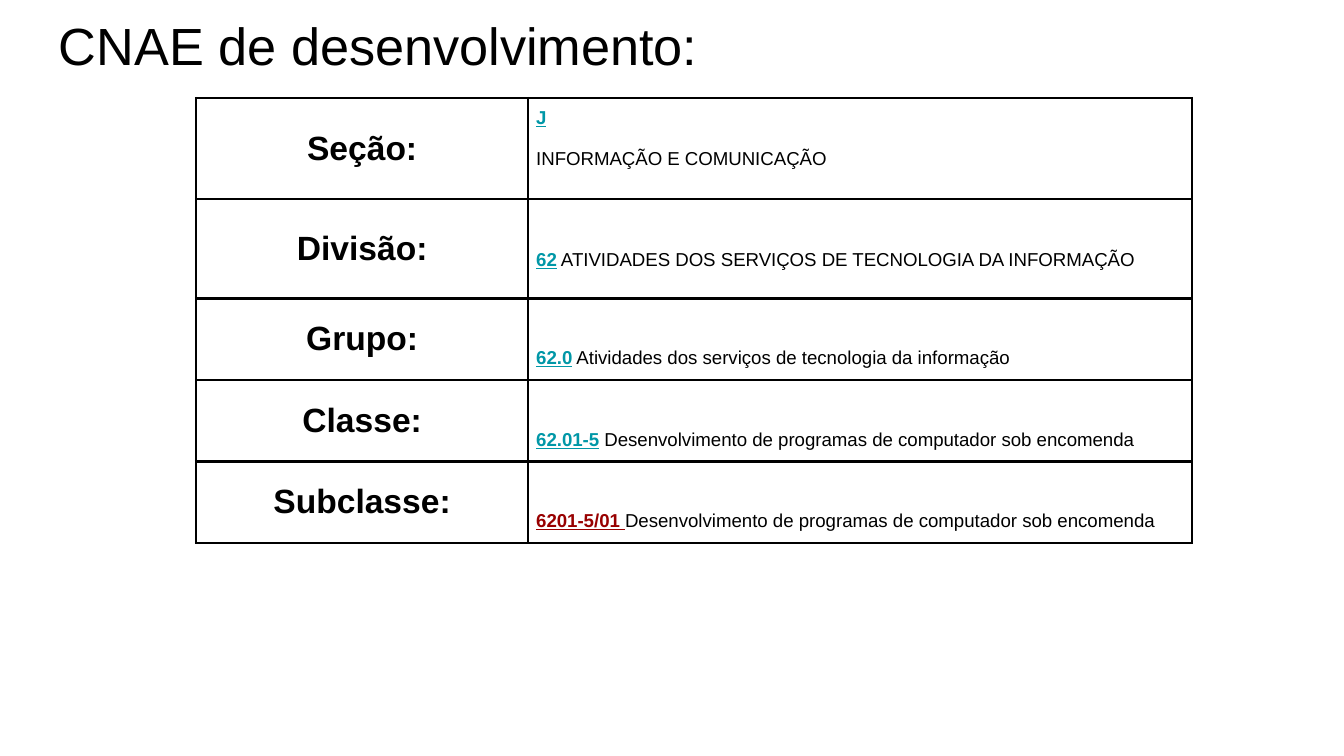
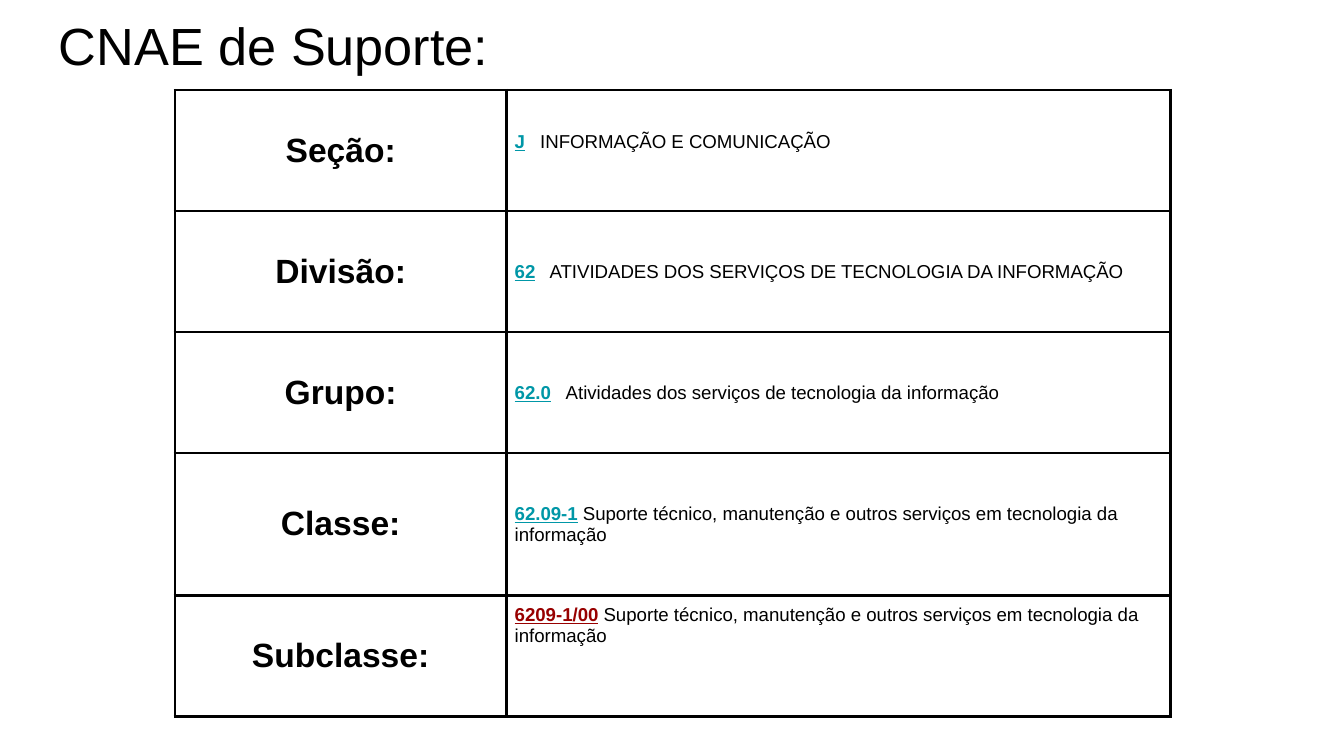
from lxml import etree
from pptx import Presentation
from pptx.dml.color import RGBColor
from pptx.enum import text
from pptx.oxml import ns
from pptx.util import Emu, Inches, Pt

FONT = "Arial"
BLACK, TEAL, RED = "000000", "0097A7", "980000"
LEVELS = ["Seção:", "Divisão:", "Grupo:", "Classe:", "Subclasse:"]
COLUMN_WIDTH = 2.47
TOP, LOWERED = 0.07, 0.38  # top margins of the description cells

SECTION = "INFORMAÇÃO E COMUNICAÇÃO"
DIVISION = "ATIVIDADES DOS SERVIÇOS DE TECNOLOGIA DA INFORMAÇÃO"
GROUP = "Atividades dos serviços de tecnologia da informação"
CUSTOM = "Desenvolvimento de programas de computador sob encomenda"
SUPPORT = "Suporte técnico, manutenção e outros serviços em tecnologia da informação"

# Each entry: row height, top margin, code, separator, description, tab stop
SLIDES = [
    ("CNAE de desenvolvimento:", 0.63, 1.46, 0.73, [
        (0.75, TOP, "J", "\n", SECTION, None),
        (0.74, LOWERED, "62", " ", DIVISION, None),
        (0.6, 0.37, "62.0", " ", GROUP, None),
        (0.6, 0.37, "62.01-5", " ", CUSTOM, None),
        (0.6, 0.37, "6201-5/01 ", "", CUSTOM, None),
    ]),
    ("CNAE de Suporte:", 0.53, 1.3, 0.67, [
        (0.9, 0.31, "J", "\t", SECTION, 0.19),
        (0.9, LOWERED, "62", "\t", DIVISION, 0.26),
        (0.9, LOWERED, "62.0", "\t", GROUP, 0.38),
        (1.06, LOWERED, "62.09-1", " ", SUPPORT, None),
        (0.9, TOP, "6209-1/00", " ", SUPPORT, None),
    ]),
]


def style(font, size, color=BLACK, bold=False):
    font.name, font.size, font.bold = FONT, Pt(size), bold
    font.color.rgb = RGBColor.from_string(color)


def format_cell(cell, side, top):
    """Set margins, clear the fill and draw black borders."""
    cell.margin_left = cell.margin_right = Inches(side)
    cell.margin_top, cell.margin_bottom = Inches(top), Inches(0.07)
    properties = cell._tc.get_or_add_tcPr()
    for edge in ("lnL", "lnR", "lnT", "lnB"):
        line = etree.SubElement(properties, ns.qn(f"a:{edge}"), w=str(Pt(1.5)))
        fill = etree.SubElement(line, ns.qn("a:solidFill"))
        etree.SubElement(fill, ns.qn("a:srgbClr"), val=BLACK)
    cell.fill.background()


presentation = Presentation()
presentation.slide_width = Inches(10)
presentation.slide_height = Emu(presentation.slide_width * 9 // 16)

for title, title_height, left, top, rows in SLIDES:
    slide = presentation.slides.add_slide(presentation.slide_layouts[6])
    box = slide.shapes.add_textbox(Inches(0.34), Emu(0), Inches(9.32), Inches(title_height))
    frame = box.text_frame
    frame.word_wrap = True
    frame.margin_left = frame.margin_right = Inches(0.1)
    frame.margin_top = frame.margin_bottom = Inches(0.1)
    frame.text = title
    style(frame.paragraphs[0].font, 28)

    table = slide.shapes.add_table(
        len(rows), 3, Inches(left), Inches(top),
        Inches(3 * COLUMN_WIDTH), Inches(sum(row[0] for row in rows))).table
    table.first_row = table.horz_banding = False
    for column in table.columns:
        column.width = Inches(COLUMN_WIDTH)

    for index, (height, margin, code, separator, description, tab) in enumerate(rows):
        table.rows[index].height = Inches(height)
        label, detail, spanned = table.rows[index].cells
        detail.merge(spanned)
        format_cell(label, 0.11, 0.07)
        format_cell(detail, 0.06, margin)
        format_cell(spanned, 0.06, TOP)

        label.vertical_anchor = text.MSO_ANCHOR.MIDDLE
        label.text = LEVELS[index]
        paragraph = label.text_frame.paragraphs[0]
        paragraph.alignment = text.PP_ALIGN.CENTER
        style(paragraph.font, 18, bold=True)

        paragraph = detail.text_frame.paragraphs[0]
        if tab:
            stops = etree.SubElement(paragraph._p.get_or_add_pPr(), ns.qn("a:tabLst"))
            etree.SubElement(stops, ns.qn("a:tab"), pos=str(Inches(tab)), algn="l")
        run = paragraph.add_run()
        run.text = code
        style(run.font, 10, RED if LEVELS[index] == "Subclasse:" else TEAL, bold=True)
        run.font.underline = True
        if separator == "\n":
            paragraph = detail.text_frame.add_paragraph()
            paragraph.space_before = Pt(11)
            separator = ""
        run = paragraph.add_run()
        run.text = separator + description
        style(run.font, 10)

presentation.save("out.pptx")
